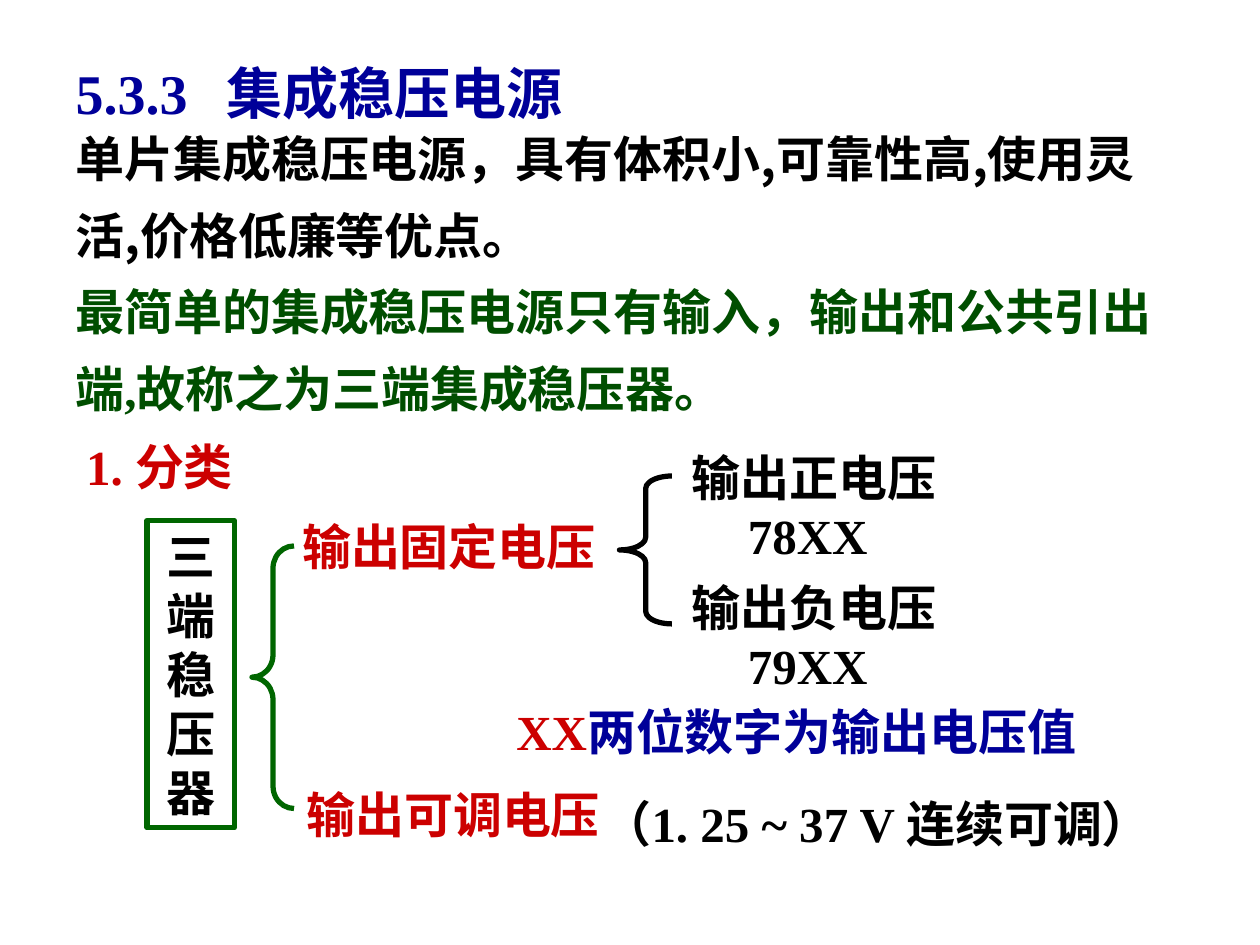
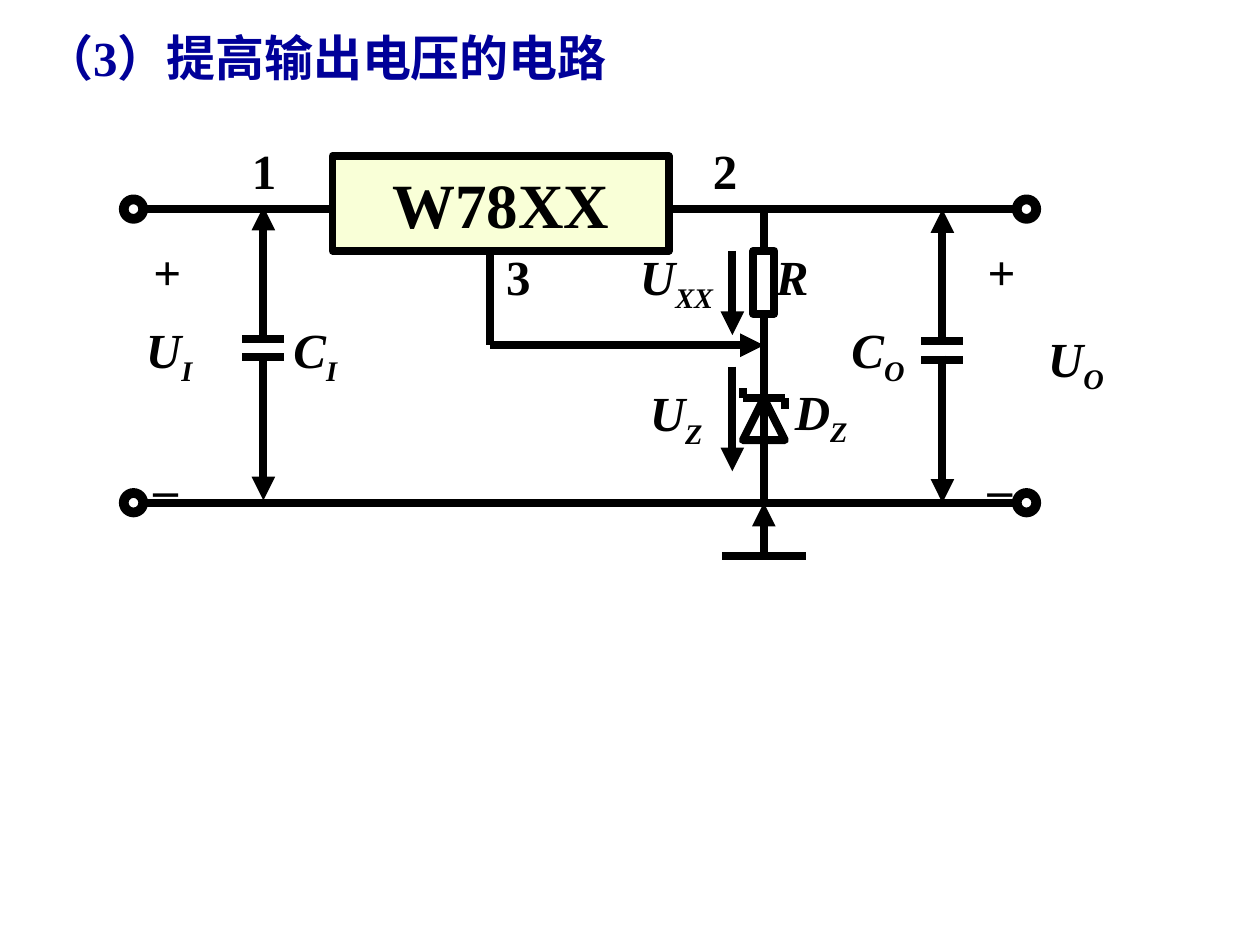
import typing
from dataclasses import dataclass

import pptx
import pptx.dml.color
import pptx.enum.shapes
import pptx.enum.text
import pptx.oxml
import pptx.oxml.ns
import pptx.util

Pt = pptx.util.Pt
Kind = pptx.enum.shapes.MSO_SHAPE
Align = pptx.enum.text.PP_ALIGN
Anchor = pptx.enum.text.MSO_ANCHOR
qn = pptx.oxml.ns.qn
NS = pptx.oxml.ns.nsdecls("a")

INK = {"blue": "000099", "black": "000000", "moss": "004E00",
       "green": "006600", "red": "CC0000", "cream": "F9FFD7"}
SERIF = "Times New Roman"
SANS = "Noto Sans CJK SC"
THICK = 4.5


@dataclass(frozen=True)
class Box:
    x: float
    y: float
    w: float
    h: float


@dataclass(frozen=True)
class Run:
    text: str
    ink: str = "black"
    face: str = SERIF
    slant: bool = False
    sub: bool = False


@dataclass(frozen=True)
class Wire:
    x1: float
    y1: float
    x2: float
    y2: float
    head: bool = False
    tail: bool = False


@dataclass(frozen=True)
class Label:
    box: Box
    main: str
    sub: str = ""
    slant: bool = True


def hue(name: str) -> pptx.dml.color.RGBColor:
    return pptx.dml.color.RGBColor.from_string(INK[name])


def write(shape: typing.Any, paras: list[list[Run]], *, size: float = 28,
          align: typing.Any = Align.LEFT, anchor: typing.Any = Anchor.TOP,
          wrap: bool = True, space: float = 1.0, gap: float = 0,
          tab: float = 0) -> None:
    frame = shape.text_frame
    frame.word_wrap = wrap
    frame.auto_size = pptx.enum.text.MSO_AUTO_SIZE.NONE
    frame.vertical_anchor = anchor
    for i, runs in enumerate(paras):
        para = frame.add_paragraph() if i else frame.paragraphs[0]
        para.alignment = align
        para.line_spacing = space
        para.space_before = Pt(gap if i else 0)
        if tab:
            para._p.get_or_add_pPr().append(pptx.oxml.parse_xml(
                f'<a:tabLst {NS}><a:tab pos="{Pt(tab)}" algn="l"/></a:tabLst>'))
        for item in runs:
            run = para.add_run()
            run.text = item.text
            font = run.font
            font.size, font.bold, font.italic = Pt(size), True, item.slant
            font.name = item.face
            font.color.rgb = hue(item.ink)
            props = run._r.get_or_add_rPr()
            props.append(pptx.oxml.parse_xml(f'<a:ea {NS} typeface="{SANS}"/>'))
            if item.sub:
                props.set("baseline", "-25000")


def place(shape: typing.Any, box: Box) -> typing.Any:
    shape.left, shape.top = Pt(box.x), Pt(box.y)
    shape.width, shape.height = Pt(box.w), Pt(box.h)
    return shape


def add_text(slide: typing.Any, box: Box, paras: list[list[Run]],
             **style: typing.Any) -> None:
    area = slide.shapes.add_textbox(Pt(box.x), Pt(box.y), Pt(box.w), Pt(box.h))
    write(area, paras, **style)


def add_form(slide: typing.Any, kind: typing.Any, box: Box, *,
             ink: str = "black", width: float = THICK, fill: str = "",
             bends: tuple[float, ...] = ()) -> typing.Any:
    shape = slide.shapes.add_shape(kind, Pt(box.x), Pt(box.y),
                                   Pt(box.w), Pt(box.h))
    shape.shadow.inherit = False
    shape.line.color.rgb = hue(ink)
    shape.line.width = Pt(width)
    if fill:
        shape.fill.solid()
        shape.fill.fore_color.rgb = hue(fill)
    else:
        shape.fill.background()
    for i, bend in enumerate(bends):
        shape.adjustments[i] = bend
    return shape


def add_wire(slide: typing.Any, wire: Wire) -> typing.Any:
    line = slide.shapes.add_connector(
        pptx.enum.shapes.MSO_CONNECTOR.STRAIGHT,
        Pt(wire.x1), Pt(wire.y1), Pt(wire.x2), Pt(wire.y2))
    line.line.color.rgb = hue("black")
    line.line.width = Pt(THICK)
    props = line._element.spPr
    for tag, shown in (("headEnd", wire.head), ("tailEnd", wire.tail)):
        if shown:
            props.find(qn("a:ln")).append(
                pptx.oxml.parse_xml(f'<a:{tag} {NS} type="triangle"/>'))
    props.append(pptx.oxml.parse_xml(f"<a:effectLst {NS}/>"))
    return line


def add_cap(slide: typing.Any, x: float, top: float) -> None:
    for wire in (Wire(x, top, x, top + 77.8, head=True),
                 Wire(x, top + 83.8, x, top + 167.8, tail=True),
                 Wire(x - 12, top + 75.6, x + 12, top + 75.6),
                 Wire(x - 12, top + 86, x + 12, top + 86)):
        add_wire(slide, wire)


def draw_types(deck: typing.Any) -> None:
    slide = deck.slides.add_slide(deck.slide_layouts[0])
    write(place(slide.shapes.title, Box(36, 30, 336, 36)),
          [[Run("5.3.3\t", "blue"), Run("集成稳压电源", "blue", SANS)]],
          size=32, tab=86)
    add_text(slide, Box(36, 59.8, 638, 182.2), [
        [Run("单片集成稳压电源，具有体积小,可靠性高,使用灵活,价格低廉等优点。",
             face=SANS)],
        [Run("最简单的集成稳压电源只有输入，输出和公共引出端,故称之为三端集成稳压器。",
             "moss")],
    ], anchor=Anchor.MIDDLE, space=1.3)
    write(place(slide.placeholders[1], Box(42, 246, 132, 42)),
          [[Run("1. ", "red"), Run("分类", "red", SANS)]])
    add_text(slide, Box(288, 397.5, 384, 41),
             [[Run("XX", "red"), Run("两位数字为输出电压值", "blue", SANS)]])

    root = add_form(slide, Kind.RECTANGLE, Box(84, 297.5, 50, 175.5),
                    ink="green", width=3)
    write(root, [[Run("三端稳压器")]], align=Align.CENTER)
    add_form(slide, Kind.LEFT_BRACE, Box(144, 312, 24, 150),
             ink="green", width=3, bends=(0.53, 0.5))
    add_form(slide, Kind.LEFT_BRACE, Box(354, 272, 30, 84.5),
             width=3, bends=(0.24, 0.5))

    add_text(slide, Box(165.5, 291.5, 182, 41),
             [[Run("输出固定电压", "red")]], align=Align.CENTER, wrap=False)
    add_text(slide, Box(168, 445, 186, 41), [[Run("输出可调电压", "red")]])
    for y, sign, code in ((252, "正", "78XX "), (326.2, "负", "79XX ")):
        add_text(slide, Box(388, y, 154, 75),
                 [[Run(f"输出{sign}电压")], [Run(code)]],
                 align=Align.CENTER, wrap=False)
    add_text(slide, Box(330, 450, 342, 41),
             [[Run("（1. 25 ~ 37 V 连续可调）")]],
             align=Align.CENTER, wrap=False)


def draw_boost(deck: typing.Any) -> None:
    slide = deck.slides.add_slide(deck.slide_layouts[5])
    write(place(slide.shapes.title, Box(18, 12, 459, 40)),
          [[Run("（3）", "blue"), Run("提高输出电压的电路", "blue", SANS)]])

    top, base, mid = 119.5, 287.3, 436.5
    left, right, ring = 76.3, 586.6, 12.2
    node, arm, pin = 197.3, 418.5, 280
    chip = Box(190, 89.3, 192.2, 54)
    load = Box(mid - 6, 143.3, 12, 36)
    zener = Box(mid - 12, 227.5, 24, 24)
    low = chip.y + chip.h

    for x in (left, right):
        for y in (top, base):
            add_form(slide, Kind.DONUT,
                     Box(x - ring / 2, y - ring / 2, ring, ring), bends=(0.08,))
    name = add_form(slide, Kind.RECTANGLE, chip, fill="cream")
    write(name, [[Run("W78XX")]], size=36, align=Align.CENTER,
          anchor=Anchor.MIDDLE, wrap=False)
    part = add_form(slide, Kind.RECTANGLE, load)
    add_form(slide, Kind.ISOSCELES_TRIANGLE, zener)

    add_wire(slide, Wire(mid, top, mid, load.y)).end_connect(part, 0)
    add_wire(slide, Wire(mid, load.y + load.h, mid, base)).begin_connect(part, 2)
    edge = zener.x + zener.w
    for wire in (
        Wire(left + 6, base, right - 6, base),
        Wire(left + 6, top, chip.x, top),
        Wire(chip.x + chip.w, top, right - 6, top),
        Wire(pin, low, pin, node),
        Wire(pin, node, mid, node, tail=True),
        Wire(zener.x, zener.y, edge, zener.y),
        Wire(zener.x, zener.y, zener.x, zener.y - 6),
        Wire(edge, zener.y, edge, zener.y + 6),
        Wire(arm, low, arm, 191.5, tail=True),
        Wire(arm, 209.5, arm, 269.3, tail=True),
        Wire(mid, base, mid, 317.5, head=True),
        Wire(mid - 24, 317.5, mid + 24, 317.5),
    ):
        add_wire(slide, wire)
    add_cap(slide, 150.5, 118.1)
    add_cap(slide, 538.5, top)

    for x in (80.6, 557.3):
        add_text(slide, Box(x, 111, 26, 178.5), [[Run("+")], [Run("_")]],
                 space=1.7, gap=57)
    for label in (
        Label(Box(136.8, 77, 28, 41), "1", slant=False),
        Label(Box(400.3, 77, 28, 41), "2", slant=False),
        Label(Box(282.2, 137.5, 28, 41), "3", slant=False),
        Label(Box(436.3, 137.5, 33, 41), "R"),
        Label(Box(76.3, 179.3, 68.4, 45), "U", "I"),
        Label(Box(160.6, 179.3, 84, 45), "C", "I"),
        Label(Box(479.5, 179.3, 45, 45), "C", "O"),
        Label(Box(591.8, 184.3, 80, 45), "U", "O"),
        Label(Box(358.6, 137.5, 62, 45), "U", "XX"),
        Label(Box(364.3, 215.3, 62.6, 45), "U", "Z"),
        Label(Box(447.1, 214.6, 69, 45), "D", "Z"),
    ):
        runs = [Run(label.main, slant=label.slant)]
        if label.sub:
            runs.append(Run(label.sub, slant=True, sub=True))
        add_text(slide, label.box, [runs], wrap=False)


def main() -> None:
    deck = pptx.Presentation()
    deck.slide_width, deck.slide_height = Pt(720), Pt(540)
    draw_types(deck)
    draw_boost(deck)
    deck.save("out.pptx")


if __name__ == "__main__":
    main()
